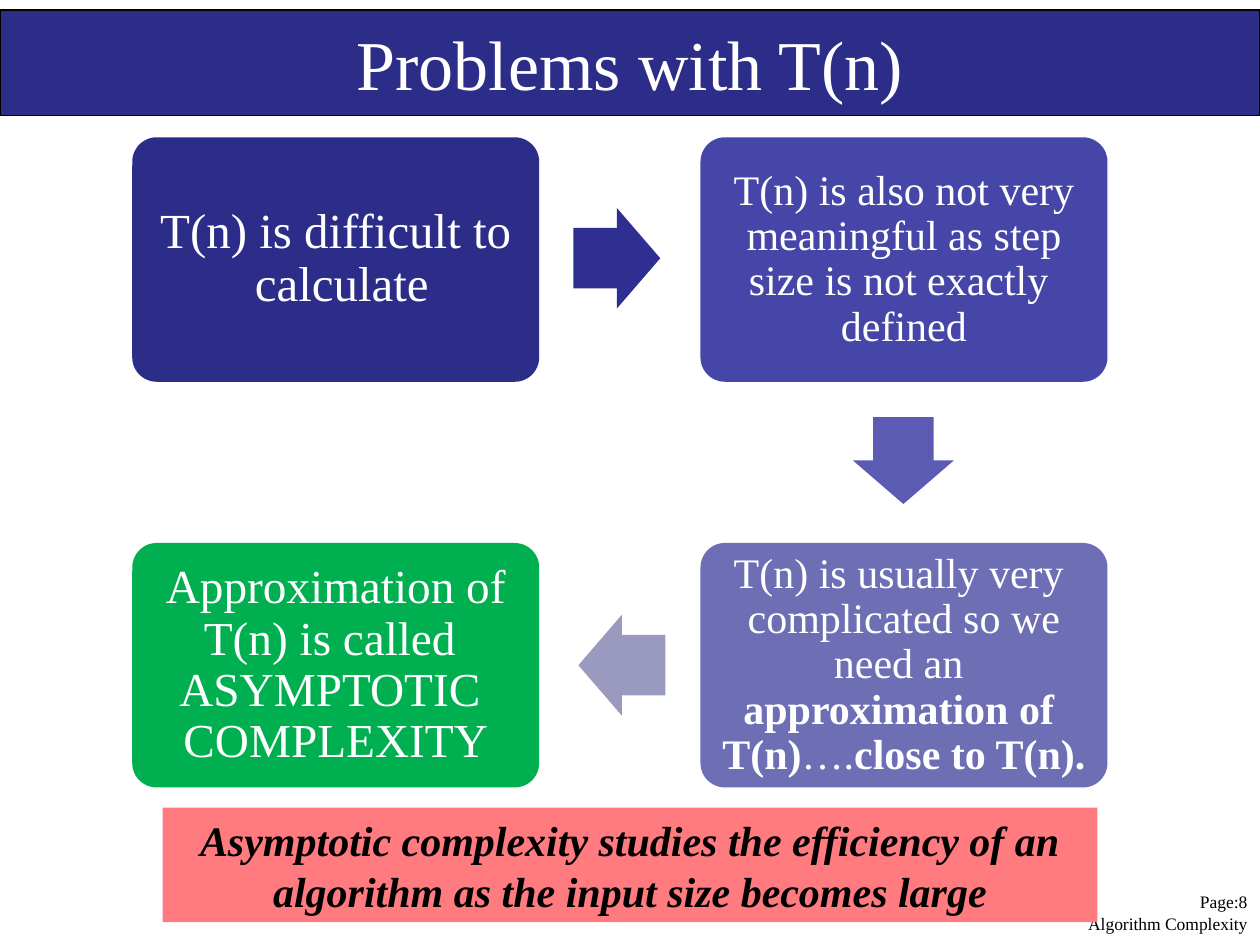
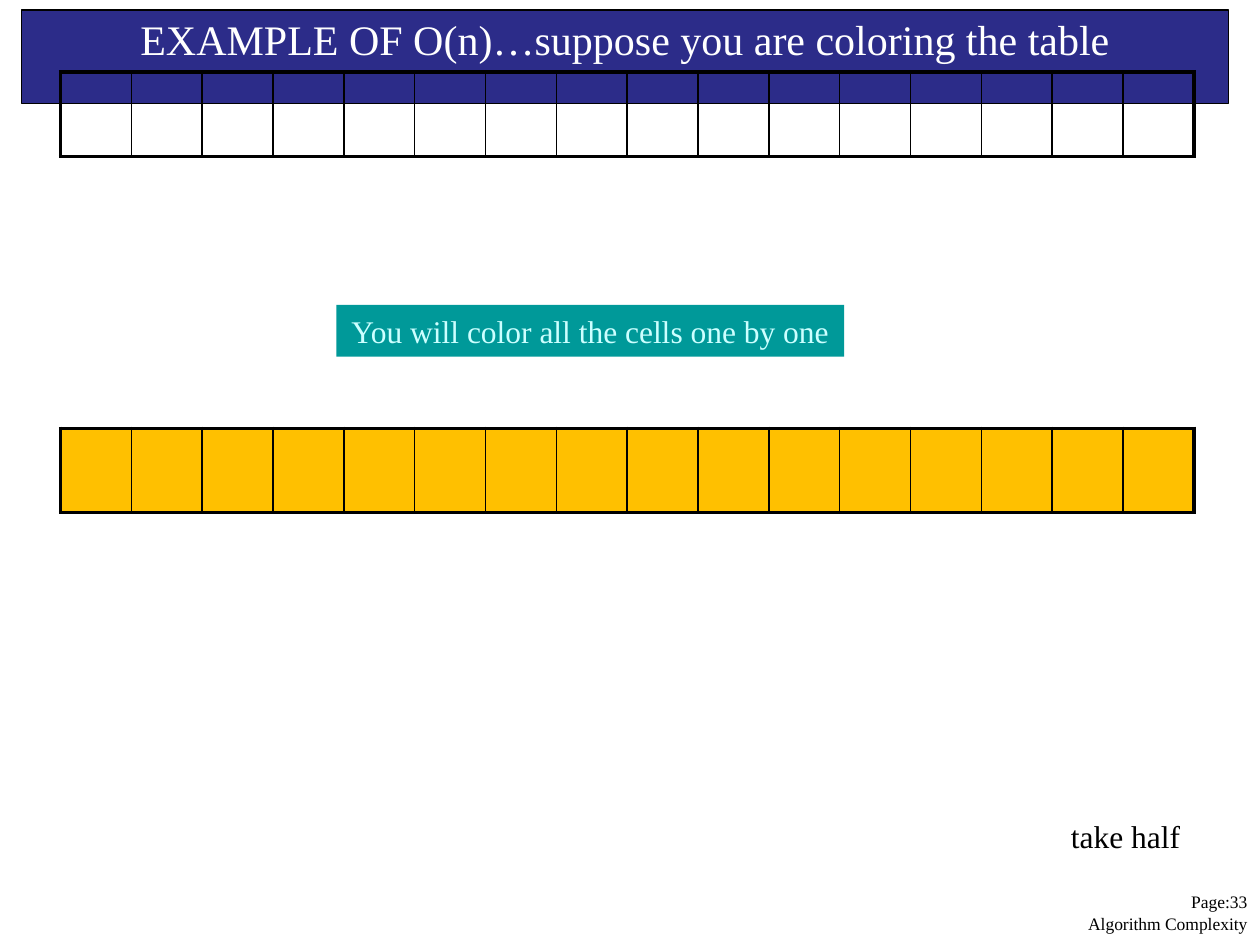
from lxml.etree import SubElement
from pptx import Presentation
from pptx.dml.color import RGBColor
from pptx.enum.shapes import MSO_SHAPE
from pptx.enum.text import MSO_ANCHOR, PP_ALIGN
from pptx.oxml.ns import qn
from pptx.util import Inches, Pt

FONT = "Times New Roman"
C = {
    "band": "2C2C89", "black": "000000", "white": "FFFFFF",
    "step2": "4646A8", "step3": "6E6EB5", "result": "00AF50",
    "arrow1": "2F2F92", "arrow2": "5B5BB3", "arrow3": "9A9ABE",
    "note": "FF7B80", "teal": "009999", "pale": "CCFFFF", "amber": "FFC000",
}
FOOTER = "Algorithm Complexity"

STEP_W, STEP_H = 3.23, 1.94
STEP_X, STEP_Y = (1.05, 5.56), (1.09, 4.31)
STEPS = [
    (0, 0, "band", 28, "T(n) is difficult to\n calculate"),
    (1, 0, "step2", 24, "T(n) is also not very\nmeaningful as step\nsize is not exactly \ndefined"),
    (1, 1, "step3", 24, "T(n) is usually very \ncomplicated so we\nneed an \n"
                        "**approximation of \nT(n)**….**close to T(n).**"),
    (0, 1, "result", 27, "Approximation of\nT(n) is called \nASYMPTOTIC \nCOMPLEXITY"),
]
ARROWS = [
    (MSO_SHAPE.RIGHT_ARROW, 4.55, 1.65, 0.69, 0.8, "arrow1"),
    (MSO_SHAPE.DOWN_ARROW, 6.77, 3.31, 0.8, 0.69, "arrow2"),
    (MSO_SHAPE.LEFT_ARROW, 4.59, 4.88, 0.69, 0.8, "arrow3"),
]
NOTE = ["Asymptotic complexity studies the efficiency of an",
        "algorithm as the input size becomes large"]

CELLS, CELL_W, CELL_H, ROW_X = 16, 0.5625, 0.67, 0.48
ROWS = [(0.57, None), (3.4, "amber")]


def rgb(name):
    return RGBColor.from_string(C[name])


def write(sp, paragraphs, size=18, color="black", bold=False, italic=False,
          align=PP_ALIGN.CENTER, anchor=MSO_ANCHOR.MIDDLE, spacing=None, top=0):
    tf = sp.text_frame
    tf.word_wrap = True
    tf.vertical_anchor = anchor
    tf.margin_left = tf.margin_right = tf.margin_bottom = 0
    tf.margin_top = Inches(top)
    for i, text in enumerate(paragraphs):
        p = tf.paragraphs[0] if i == 0 else tf.add_paragraph()
        p.alignment = align
        p.line_spacing = spacing
        for j, part in enumerate(text.split("**")):
            for k, line in enumerate(part.split("\n")):
                if k:
                    p.add_line_break()
                if line:
                    r = p.add_run()
                    r.text = line
                    r.font.name, r.font.size = FONT, Pt(size)
                    r.font.bold, r.font.italic = bold or j % 2 == 1, italic
                    r.font.color.rgb = rgb(color)


def add_box(s, kind, x, y, w, h, fill, line=None):
    sp = s.shapes.add_shape(kind, Inches(x), Inches(y), Inches(w), Inches(h))
    sp.shadow.inherit = False
    sp.fill.solid()
    sp.fill.fore_color.rgb = rgb(fill)
    if line:
        sp.line.color.rgb = rgb(line)
        sp.line.width = Pt(0.75)
    else:
        sp.line.fill.background()
    return sp


def add_label(s, x, y, w, h, paragraphs, **style):
    sp = s.shapes.add_textbox(Inches(x), Inches(y), Inches(w), Inches(h))
    write(sp, paragraphs, **style)


def add_page(prs, number, title, x, w, h, **style):
    s = prs.slides.add_slide(prs.slide_layouts[6])
    add_label(s, 8.4, 7.07, 1.5, 0.36, [f"Page:{number}", FOOTER], size=10,
              align=PP_ALIGN.RIGHT, anchor=MSO_ANCHOR.TOP, spacing=Pt(12.3))
    band = add_box(s, MSO_SHAPE.RECTANGLE, x, 0.08, w, h, "band", "black")
    write(band, [title], color="white", **style)
    return s


def set_border(cell, side, width):
    ln = SubElement(cell._tc.get_or_add_tcPr(), qn(f"a:{side}"), w=str(Pt(width)))
    fill = SubElement(ln, qn("a:solidFill"))
    SubElement(fill, qn("a:srgbClr"), val=C["black"])


def add_cell_row(s, y, fill):
    table = s.shapes.add_table(1, CELLS, Inches(ROW_X), Inches(y),
                               Inches(CELLS * CELL_W), Inches(CELL_H)).table
    table.first_row = table.horz_banding = False
    for i in range(CELLS):
        table.columns[i].width = Inches(CELL_W)
        cell = table.cell(0, i)
        set_border(cell, "lnL", 2.25 if i == 0 else 1)
        set_border(cell, "lnR", 2.25 if i == CELLS - 1 else 1)
        set_border(cell, "lnT", 2.25)
        set_border(cell, "lnB", 2.25)
        if fill:
            cell.fill.solid()
            cell.fill.fore_color.rgb = rgb(fill)
        else:
            cell.fill.background()


def build_problems(prs):
    s = add_page(prs, 8, "Problems with T(n)", 0, 10, 0.84, size=40)
    for col, row, fill, size, text in STEPS:
        sp = add_box(s, MSO_SHAPE.ROUNDED_RECTANGLE, STEP_X[col], STEP_Y[row],
                     STEP_W, STEP_H, fill)
        sp.adjustments[0] = 0.1
        write(sp, [text], size=size, color="white", spacing=0.9)
    for kind, x, y, w, h, fill in ARROWS:
        sp = add_box(s, kind, x, y, w, h, fill)
        sp.adjustments[0], sp.adjustments[1] = 0.6, 0.5
    note = add_box(s, MSO_SHAPE.RECTANGLE, 1.29, 6.41, 7.42, 0.91, "note")
    write(note, NOTE, size=24, bold=True, italic=True)


def build_coloring(prs):
    s = add_page(prs, 33, "EXAMPLE OF O(n)…suppose you are coloring the table",
                 0.17, 9.58, 0.74, size=24, anchor=MSO_ANCHOR.TOP, top=0.03)
    for y, fill in ROWS:
        add_cell_row(s, y, fill)
    add_label(s, 8.5, 6.46, 1, 0.35, ["take half"], align=PP_ALIGN.LEFT)
    sp = add_box(s, MSO_SHAPE.RECTANGLE, 2.67, 2.42, 4.03, 0.41, "teal")
    write(sp, ["You will color all the cells one by one"], color="pale")


def main():
    prs = Presentation()
    prs.slide_width, prs.slide_height = Inches(10), Inches(7.5)
    build_problems(prs)
    build_coloring(prs)
    prs.save("out.pptx")


if __name__ == "__main__":
    main()
